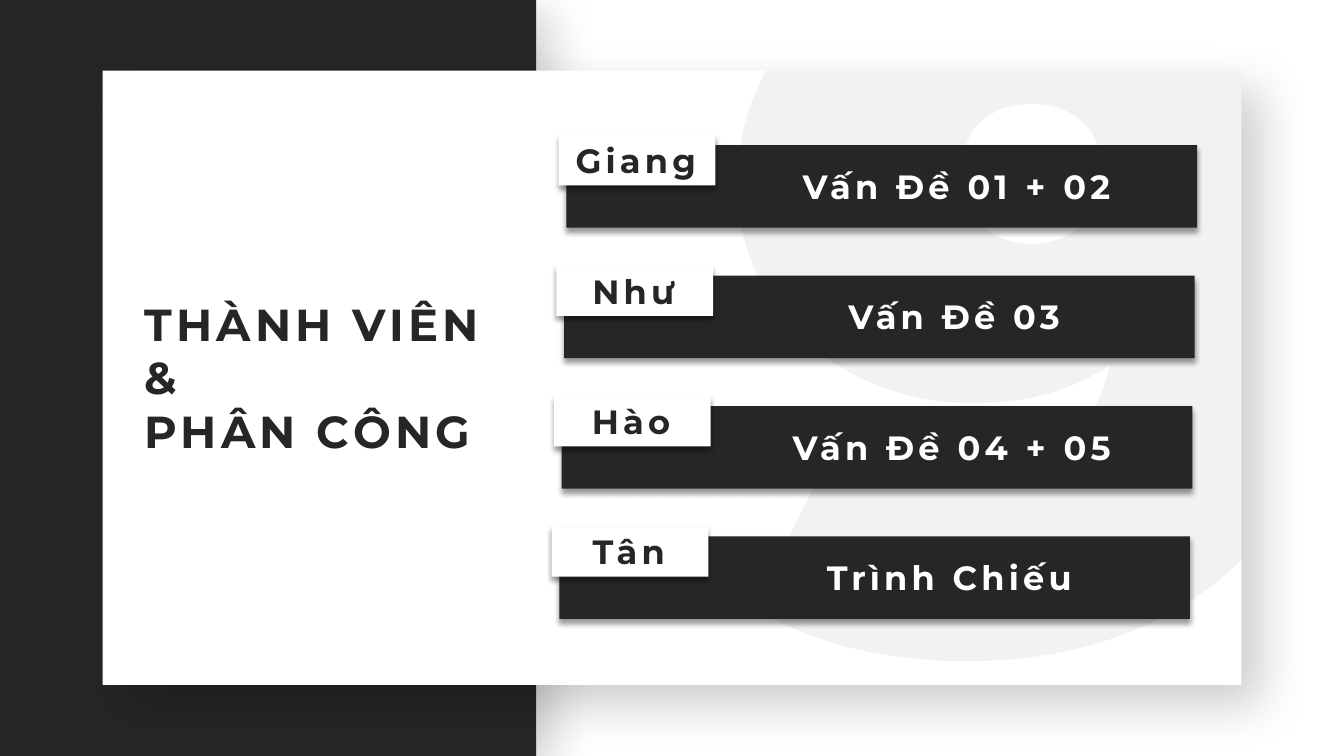
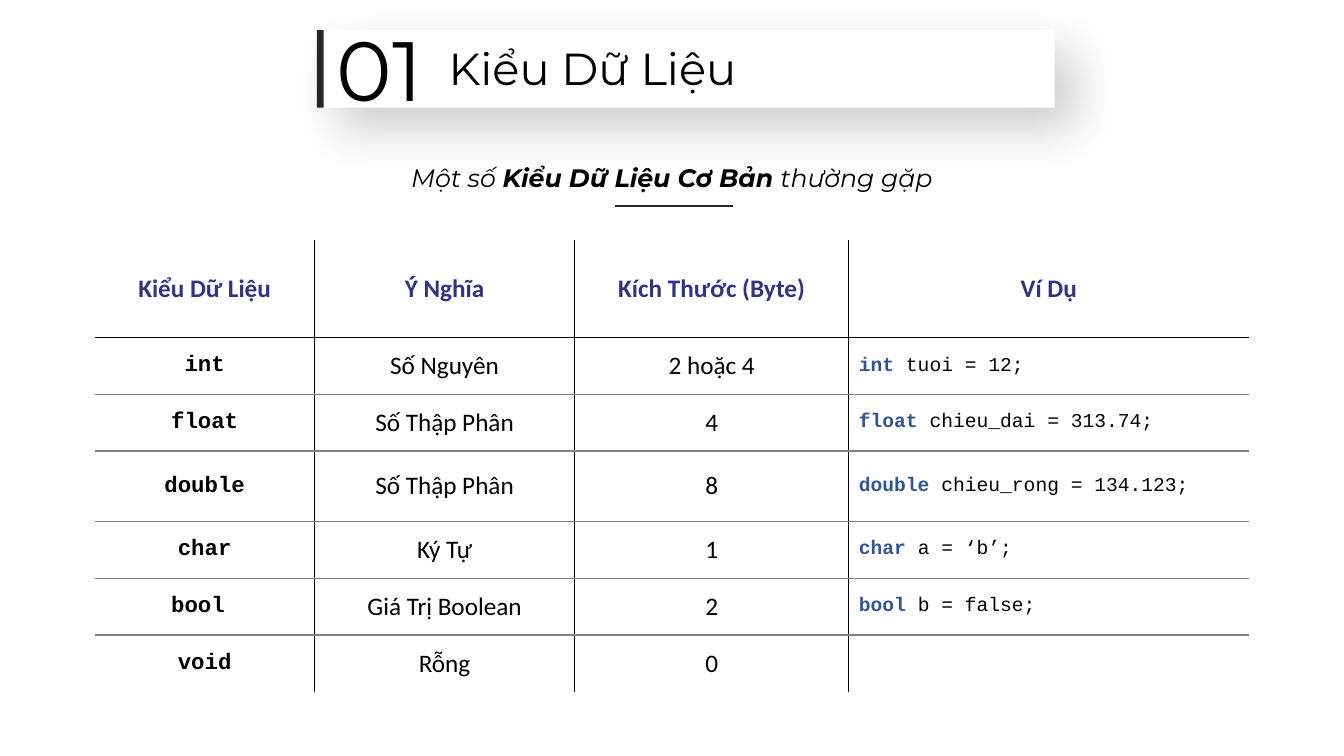
from dataclasses import dataclass
from typing import NamedTuple, Optional

from lxml.etree import SubElement
from pptx import Presentation
from pptx.dml.color import RGBColor
from pptx.enum.shapes import MSO_CONNECTOR, MSO_SHAPE
from pptx.enum.text import MSO_ANCHOR, MSO_AUTO_SIZE, PP_ALIGN
from pptx.oxml.ns import qn
from pptx.util import Pt


@dataclass(frozen=True)
class Theme:
    """Colours, fonts and type sizes of the deck."""

    ink: RGBColor = RGBColor.from_string("262626")
    black: RGBColor = RGBColor.from_string("000000")
    white: RGBColor = RGBColor.from_string("FFFFFF")
    pale: RGBColor = RGBColor.from_string("D9D9D9")
    rule: RGBColor = RGBColor.from_string("808080")
    heading: RGBColor = RGBColor.from_string("303386")
    keyword: RGBColor = RGBColor.from_string("2F5597")
    display_font: str = "Montserrat"
    table_font: str = "Calibri"
    code_font: str = "Courier New"
    number_size: float = 60
    title_size: float = 32
    label_size: float = 24
    body_size: float = 18
    type_size: float = 16
    code_size: float = 14


class Box(NamedTuple):
    """A place on the slide, in points."""

    left: float
    top: float
    width: float
    height: float

    def lengths(self):
        """Return the four lengths for python-pptx."""
        return [Pt(value) for value in self]


class Shadow(NamedTuple):
    """An outer shadow: opacity in percent, lengths in points, angle in degrees."""

    opacity: int
    blur: float
    distance: float
    angle: int


class Member(NamedTuple):
    """A team member and the assigned task."""

    name: str
    task: str


class DataType(NamedTuple):
    """One row of the data type table."""

    name: str
    meaning: str
    size: str
    example: str


THEME = Theme()
PANEL_SHADOW = Shadow(20, 35, 15, 45)
CARD_SHADOW = Shadow(20, 35, 20, 45)
LABEL_SHADOW = Shadow(40, 4, 3, 90)

MEMBERS = [
    Member("Giang", "Vấn Đề 01 + 02"),
    Member("Như", "Vấn Đề 03"),
    Member("Hào", "Vấn Đề 04 + 05"),
    Member("Tân", "Trình Chiếu"),
]
HEADINGS = ["Kiểu Dữ Liệu", "Ý Nghĩa", "Kích Thước (Byte)", "Ví Dụ"]
DATA_TYPES = [
    DataType("int", "Số Nguyên", "2 hoặc 4", "int tuoi = 12;"),
    DataType("float", "Số Thập Phân", "4", "float chieu_dai = 313.74;"),
    DataType("double", "Số Thập Phân", "8", "double chieu_rong = 134.123;"),
    DataType("char", "Ký Tự", "1", "char a = ‘b’;"),
    DataType("bool ", "Giá Trị Boolean", "2", "bool b = false;"),
    DataType("void", "Rỗng", "0", ""),
]
COLUMN_WIDTHS = [157, 185.8, 195.8, 285.8]
ROW_HEIGHTS = [69.8, 40.6, 40.6, 50.2, 40.6, 40.6, 40.6]

NINE_EYE = [
    (737.3, 74.2),
    (722.2, 74.2, 709.9, 78.5, 700.6, 87.1),
    (691.2, 95.8, 686.9, 108, 686.9, 123.8),
    (686.9, 139, 691.2, 151.2, 700.6, 160.6),
    (709.9, 169.2, 722.2, 174.2, 737.3, 174.2),
    (751.7, 174.2, 763.9, 169.2, 773.3, 160.6),
    (782.6, 151.2, 787.7, 139, 787.7, 123.8),
    (787.7, 108, 782.6, 95.8, 773.3, 87.1),
    (763.9, 78.5, 751.7, 74.2, 737.3, 74.2),
]
NINE_BODY = [
    (547.2, 50.4), (887, 50.4), (887, 399.6), (886.3, 400.3),
    (870.5, 416.2, 852.5, 429.1, 831.6, 439.9),
    (791.3, 461.5, 743.8, 472.3, 689.8, 472.3),
    (660.2, 472.3, 632.2, 468.7, 605.5, 462.2),
    (578.9, 455, 556.6, 445.7, 537.8, 433.4),
    (596.9, 318.2),
    (621.4, 335.5, 650.9, 344.2, 686.2, 344.2),
    (714.2, 344.2, 738, 337, 756, 322.6),
    (774.7, 308.2, 787, 288, 792.7, 260.6),
    (767, 278.6, 734.4, 288, 694.8, 288),
    (665.3, 288, 637.2, 281.5, 612, 268.6),
    (586.1, 255.6, 565.9, 236.9, 550.1, 213.1),
    (535, 189.4, 527, 162, 527, 131),
    (527, 101.5, 533.5, 74.9, 547.2, 51.1),
]


def add_run(paragraph, text: str, *, size: float, color: RGBColor = THEME.black,
            font: str = THEME.display_font, bold: bool = False,
            italic: bool = False, spacing: float = 0) -> None:
    """Append formatted text to a paragraph."""
    run = paragraph.add_run()
    run.text = text
    run.font.size = Pt(size)
    run.font.name = font
    run.font.bold = bold
    run.font.italic = italic
    run.font.color.rgb = color
    if spacing:
        run.font._element.set("spc", str(round(spacing * 100)))


def write(frame, *lines: str, align=PP_ALIGN.CENTER, anchor=MSO_ANCHOR.TOP,
          **text_format) -> None:
    """Fill a text frame with one formatted paragraph per line."""
    frame.word_wrap = True
    frame.auto_size = MSO_AUTO_SIZE.NONE
    frame.vertical_anchor = anchor
    for index, line in enumerate(lines):
        paragraph = frame.add_paragraph() if index else frame.paragraphs[0]
        paragraph.alignment = align
        add_run(paragraph, line, **text_format)


def add_text(slide, box: Box, text: str, **text_format):
    """Add a text box and return its text frame."""
    frame = slide.shapes.add_textbox(*box.lengths()).text_frame
    write(frame, text, **text_format)
    return frame


def add_rectangle(slide, box: Box, color: RGBColor, shadow: Optional[Shadow] = None) -> None:
    """Draw a borderless rectangle, with a shadow if one is given."""
    rectangle = slide.shapes.add_shape(MSO_SHAPE.RECTANGLE, *box.lengths())
    rectangle.fill.solid()
    rectangle.fill.fore_color.rgb = color
    rectangle.line.fill.background()
    rectangle.shadow.inherit = False
    if shadow:
        effects = rectangle.element.spPr.find(qn("a:effectLst"))
        outer = SubElement(effects, qn("a:outerShdw"), blurRad=str(Pt(shadow.blur)),
                           dist=str(Pt(shadow.distance)), dir=str(shadow.angle * 60000),
                           algn="t" if shadow.angle == 90 else "tl", rotWithShape="0")
        shade = SubElement(outer, qn("a:srgbClr"), val=str(THEME.black))
        SubElement(shade, qn("a:alpha"), val=str(shadow.opacity * 1000))


def place_title(slide, box: Box, *lines: str, **text_format) -> None:
    """Move the title placeholder to the front and write it."""
    title = slide.shapes.title
    title.left, title.top, title.width, title.height = box.lengths()
    title.element.getparent().append(title.element)
    write(title.text_frame, *lines, align=PP_ALIGN.LEFT, size=THEME.title_size, **text_format)


def add_nine(slide) -> None:
    """Draw the large translucent numeral behind the member list."""
    contours = [NINE_EYE, NINE_BODY]
    builder = slide.shapes.build_freeform(*map(Pt, NINE_EYE[0]))
    for contour in contours:
        if contour is not NINE_EYE:
            builder.move_to(*map(Pt, contour[0]))
        builder.add_line_segments([tuple(map(Pt, segment[-2:])) for segment in contour[1:]])
    nine = builder.convert_to_shape()
    segments = [segment for contour in contours for segment in contour[1:]]
    for line, segment in zip(list(nine.element.iter(qn("a:lnTo"))), segments):
        if len(segment) == 6:
            curve = SubElement(line.getparent(), qn("a:cubicBezTo"))
            line.getparent().replace(line, curve)
            for x, y in zip(segment[::2], segment[1::2]):
                SubElement(curve, qn("a:pt"), x=str(Pt(x) - nine.left), y=str(Pt(y) - nine.top))
    nine.fill.solid()
    nine.fill.fore_color.rgb = THEME.pale
    nine.line.fill.background()
    nine.shadow.inherit = False
    tint = nine.element.spPr.find(qn("a:solidFill")).find(qn("a:srgbClr"))
    SubElement(tint, qn("a:alpha"), val="34000")


def add_member(slide, index: int, member: Member) -> None:
    """Draw one task bar with its name tag."""
    left, top = 404.6 - 1.7 * index, 103.7 + 93.15 * index
    label = dict(size=THEME.label_size, bold=True, spacing=3, anchor=MSO_ANCHOR.MIDDLE)
    add_rectangle(slide, Box(left, top, 450.5, 59), THEME.ink, LABEL_SHADOW)
    add_rectangle(slide, Box(left - 5.5, top - 7.2, 112, 36), THEME.white, LABEL_SHADOW)
    add_text(slide, Box(left - 6.3, top - 7.2, 111.8, 36), member.name,
             color=THEME.ink, **label)
    add_text(slide, Box(left + 107, top + 11, 343.4, 36), member.task,
             color=THEME.white, **label)


def build_members(slide) -> None:
    """Build the slide of members and tasks."""
    add_rectangle(slide, Box(0, 0, 383, 540), THEME.ink, PANEL_SHADOW)
    add_rectangle(slide, Box(73.4, 50.5, 813.4, 438.7), THEME.white, CARD_SHADOW)
    add_nine(slide)
    place_title(slide, Box(95.8, 208, 279.4, 124), "THÀNH VIÊN", "&", "PHÂN CÔNG",
                color=THEME.ink, bold=True, spacing=3)
    for index, member in enumerate(MEMBERS):
        add_member(slide, index, member)


def set_borders(cell, colors: dict) -> None:
    """Give a cell its four borders, hidden where no colour is given."""
    properties = cell._tc.get_or_add_tcPr()
    for side in "LRTB":
        border = SubElement(properties, qn(f"a:ln{side}"), w=str(Pt(1)))
        if colors[side]:
            fill = SubElement(border, qn("a:solidFill"))
            SubElement(fill, qn("a:srgbClr"), val=str(colors[side]))
        else:
            SubElement(border, qn("a:noFill"))


def write_cell(cell, text: str, row: int, column: int) -> None:
    """Write a table cell in the style of its row and column."""
    cell.vertical_anchor = MSO_ANCHOR.MIDDLE
    paragraph = cell.text_frame.paragraphs[0]
    if row and column == 3:
        if text:
            keyword, space, rest = text.partition(" ")
            code = dict(size=THEME.code_size, font=THEME.code_font)
            add_run(paragraph, keyword, color=THEME.keyword, bold=True, **code)
            add_run(paragraph, space + rest, **code)
        return
    paragraph.alignment = PP_ALIGN.CENTER
    if row and column == 0:
        add_run(paragraph, text, size=THEME.type_size, font=THEME.code_font, bold=True)
    else:
        add_run(paragraph, text, size=THEME.body_size, font=THEME.table_font, bold=not row,
                color=THEME.black if row else THEME.heading)


def add_type_table(slide) -> None:
    """Draw the table of data types."""
    rows = [HEADINGS, *DATA_TYPES]
    box = Box(67.7, 171.2, sum(COLUMN_WIDTHS), sum(ROW_HEIGHTS))
    table = slide.shapes.add_table(len(rows), len(HEADINGS), *box.lengths()).table
    table.horz_banding = False
    for column, width in zip(table.columns, COLUMN_WIDTHS):
        column.width = Pt(width)
    for line, height in zip(table.rows, ROW_HEIGHTS):
        line.height = Pt(height)
    rules = [None, THEME.black, *[THEME.rule] * (len(rows) - 2), None]
    dividers = [None, *[THEME.black] * (len(HEADINGS) - 1), None]
    for row, values in enumerate(rows):
        for column, text in enumerate(values):
            cell = table.cell(row, column)
            set_borders(cell, {"L": dividers[column], "R": dividers[column + 1],
                               "T": rules[row], "B": rules[row + 1]})
            cell.fill.background()
            write_cell(cell, text, row, column)


def build_types(slide) -> None:
    """Build the slide of basic data types."""
    add_type_table(slide)
    lead = dict(size=THEME.body_size, italic=True)
    subtitle = add_text(slide, Box(196.6, 112.3, 566.6, 28.8), "Một số ", **lead)
    add_run(subtitle.paragraphs[0], "Kiểu Dữ Liệu Cơ Bản ", bold=True, **lead)
    add_run(subtitle.paragraphs[0], "thường gặp", **lead)
    underline = slide.shapes.add_connector(
        MSO_CONNECTOR.STRAIGHT, Pt(439.2), Pt(147.4), Pt(523.4), Pt(147.4))
    underline.line.color.rgb = THEME.ink
    underline.line.width = Pt(1.5)
    SubElement(underline.element.spPr, qn("a:effectLst"))
    add_rectangle(slide, Box(226.3, 21.5, 527, 55.4), THEME.white, CARD_SHADOW)
    add_text(slide, Box(206.6, 8.9, 129.6, 80), "01", size=THEME.number_size)
    place_title(slide, Box(313.2, 25.6, 437, 46), "Kiểu Dữ Liệu")
    add_rectangle(slide, Box(226.3, 21.5, 5, 55.4), THEME.ink)


def main() -> None:
    """Build and save the deck."""
    deck = Presentation()
    deck.slide_width, deck.slide_height = Pt(960), Pt(540)
    for build in (build_members, build_types):
        build(deck.slides.add_slide(deck.slide_layouts[5]))
    deck.save("out.pptx")


if __name__ == "__main__":
    main()
